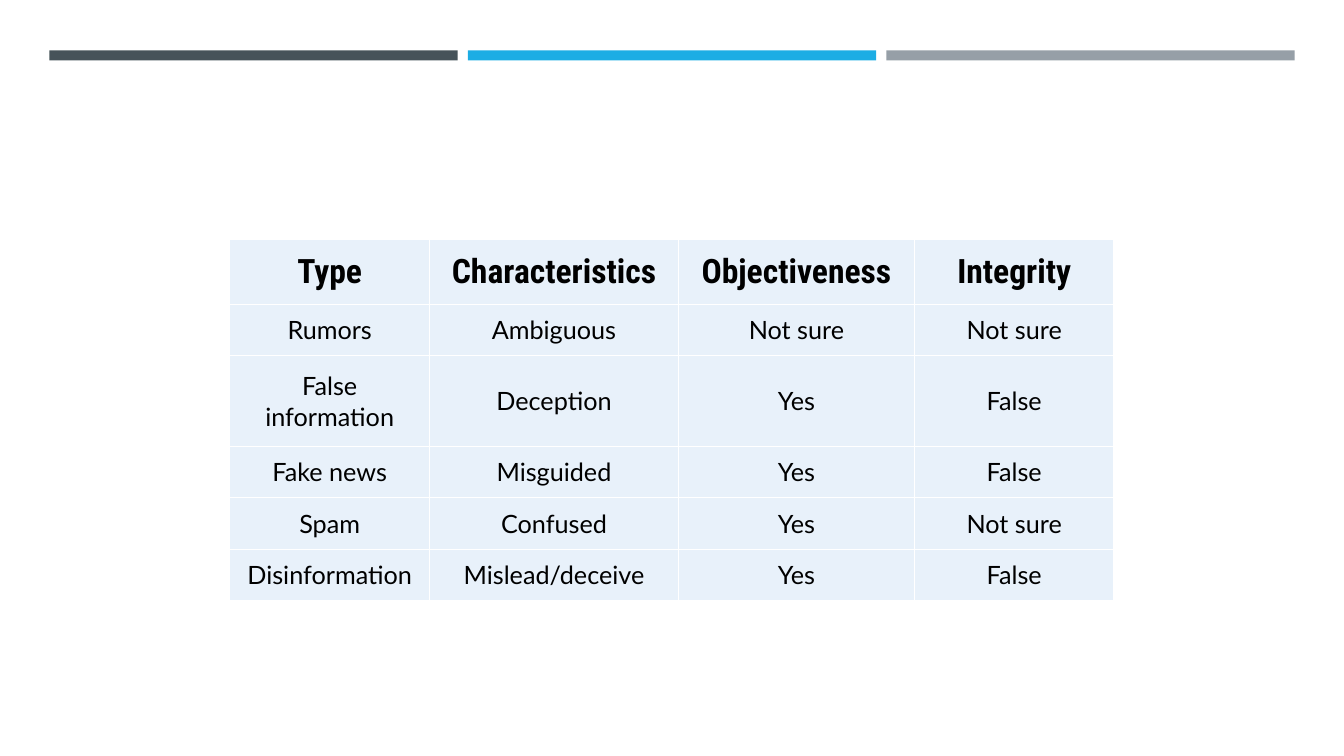
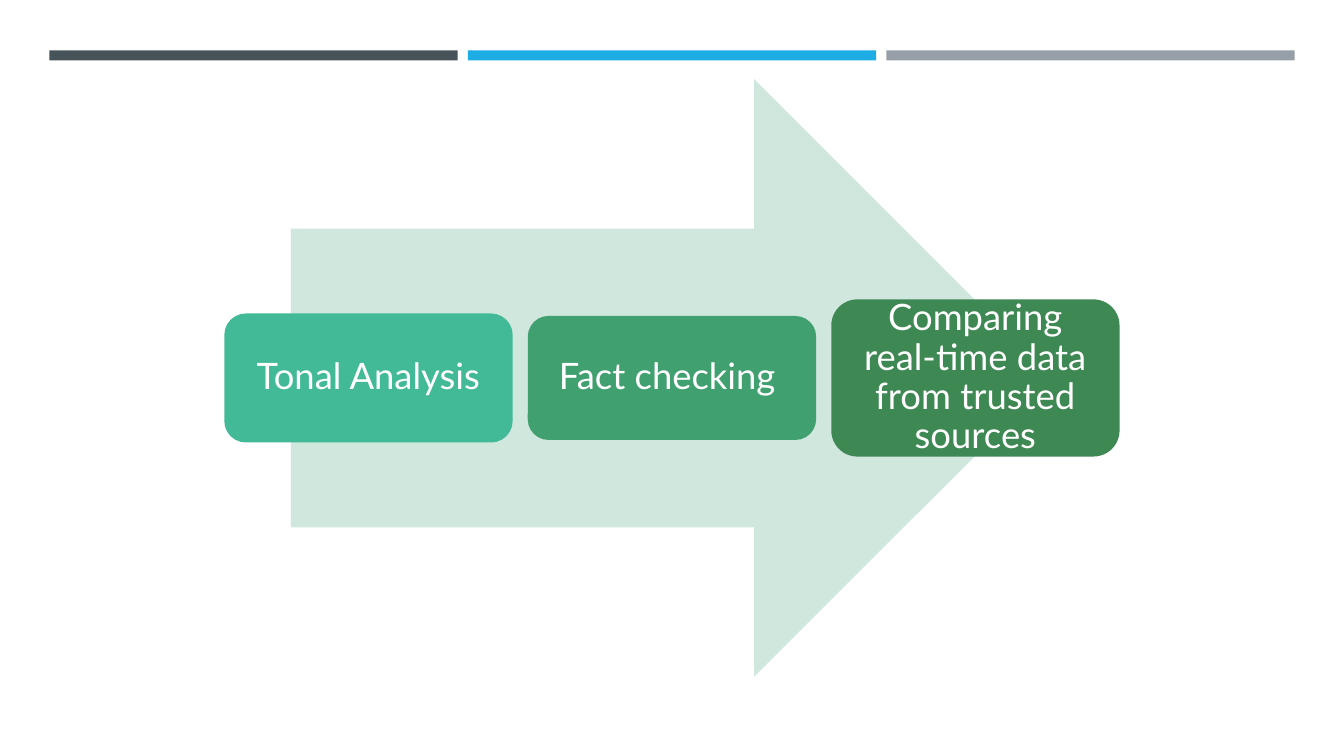
from lxml import etree
from pptx import Presentation
from pptx import util as u
from pptx.dml.color import RGBColor
from pptx.enum import shapes, text
from pptx.oxml.ns import qn

SLATE = RGBColor(0x46, 0x53, 0x59)
BLUE = RGBColor(0x1C, 0xAD, 0xE4)
GRAY = RGBColor(0x96, 0x9F, 0xA7)
PALE_BLUE = RGBColor(0xE8, 0xF1, 0xFA)
PALE_GREEN = RGBColor(0xCF, 0xE7, 0xDD)
TEAL = RGBColor(0x42, 0xBA, 0x97)
GREEN = RGBColor(0x41, 0xA0, 0x70)
DARK_GREEN = RGBColor(0x3E, 0x88, 0x53)
BLACK = RGBColor(0, 0, 0)
WHITE = RGBColor(0xFF, 0xFF, 0xFF)
BODY_FONT = "Lato"
HEAD_FONT = "Roboto Condensed"

WIDTH, HEIGHT = 13.33, 7.5
MIDDLE = HEIGHT / 2

deck = Presentation()
deck.slide_width = u.Inches(WIDTH)
deck.slide_height = u.Inches(HEIGHT)


def add_block(page, kind, left, top, width, height, color):
    block = page.shapes.add_shape(
        kind, u.Inches(left), u.Inches(top), u.Inches(width), u.Inches(height)
    )
    block.shadow.inherit = False
    block.fill.solid()
    block.fill.fore_color.rgb = color
    block.line.fill.background()
    return block


def format_text(frame, inset, font, size, color, bold=False):
    frame.margin_left = frame.margin_right = u.Inches(inset)
    frame.margin_top = frame.margin_bottom = u.Inches(inset)
    para = frame.paragraphs[0]
    para.alignment = text.PP_ALIGN.CENTER
    span = para.runs[0]
    span.font.name = font
    span.font.size = u.Pt(size)
    span.font.bold = bold
    span.font.color.rgb = color
    return para


BAND_WIDTH, BAND_STEP = 4.05, 4.15
BAND_LEFT = (WIDTH - BAND_WIDTH - 2 * BAND_STEP) / 2
pages = []
for _ in range(2):
    page = deck.slides.add_slide(deck.slide_layouts[6])
    pages.append(page)
    for column, color in enumerate((SLATE, BLUE, GRAY)):
        left = BAND_LEFT + column * BAND_STEP
        add_block(page, shapes.MSO_SHAPE.RECTANGLE, left, 0.5, BAND_WIDTH, 0.1, color)
table_page, arrow_page = pages

ROWS = (
    ("Type", "Characteristics", "Objectiveness", "Integrity"),
    ("Rumors", "Ambiguous", "Not sure", "Not sure"),
    ("False information", "Deception", "Yes", "False"),
    ("Fake news", "Misguided", "Yes", "False"),
    ("Spam", "Confused", "Yes", "Not sure"),
    ("Disinformation", "Mislead/deceive", "Yes", "False"),
)
COLUMN_WIDTHS = (1.98, 2.47, 2.34, 1.98)
ROW_HEIGHTS = (0.64, 0.51, 0.9, 0.51, 0.51, 0.51)
table_width = sum(COLUMN_WIDTHS)
table = table_page.shapes.add_table(
    len(ROWS),
    len(COLUMN_WIDTHS),
    u.Inches((WIDTH - table_width) / 2),
    u.Inches(2.38),
    u.Inches(table_width),
    u.Inches(sum(ROW_HEIGHTS)),
).table
for column, width in zip(table.columns, COLUMN_WIDTHS):
    column.width = u.Inches(width)
for row, height, words in zip(table.rows, ROW_HEIGHTS, ROWS):
    row.height = u.Inches(height)
    header = words is ROWS[0]
    for cell, word in zip(row.cells, words):
        cell.text_frame.text = word
        font, size = (HEAD_FONT, 24) if header else (BODY_FONT, 18)
        format_text(cell.text_frame, 0.05, font, size, BLACK, header)
        cell.vertical_anchor = text.MSO_ANCHOR.MIDDLE
        properties = cell._tc.get_or_add_tcPr()
        for side in ("a:lnL", "a:lnR", "a:lnT", "a:lnB"):
            border = etree.SubElement(properties, qn(side), w=str(u.Pt(1)))
            fill = etree.SubElement(border, qn("a:solidFill"))
            etree.SubElement(fill, qn("a:srgbClr"), val=str(WHITE))
        cell.fill.solid()
        cell.fill.fore_color.rgb = PALE_BLUE

ARROW_WIDTH, ARROW_HEIGHT = 7.56, 5.93
add_block(
    arrow_page,
    shapes.MSO_SHAPE.RIGHT_ARROW,
    (WIDTH - ARROW_WIDTH) / 2,
    MIDDLE - ARROW_HEIGHT / 2,
    ARROW_WIDTH,
    ARROW_HEIGHT,
    PALE_GREEN,
)

STEPS = (
    ("Tonal Analysis", 1.28, TEAL),
    ("Fact checking ", 1.23, GREEN),
    ("Comparing real-time data from trusted sources", 1.56, DARK_GREEN),
)
STEP_WIDTH, STEP_GAP = 2.86, 0.15
STEP_PITCH = STEP_WIDTH + STEP_GAP
STEPS_LEFT = (WIDTH - STEP_WIDTH - 2 * STEP_PITCH) / 2
for index, (label, height, color) in enumerate(STEPS):
    box = add_block(
        arrow_page,
        shapes.MSO_SHAPE.ROUNDED_RECTANGLE,
        STEPS_LEFT + index * STEP_PITCH,
        MIDDLE - height / 2,
        STEP_WIDTH,
        height,
        color,
    )
    frame = box.text_frame
    frame.text = label
    frame.word_wrap = True
    frame.vertical_anchor = text.MSO_ANCHOR.MIDDLE
    para = format_text(frame, 0.11, BODY_FONT, 26, WHITE)
    para.line_spacing = 0.9

deck.save("out.pptx")
